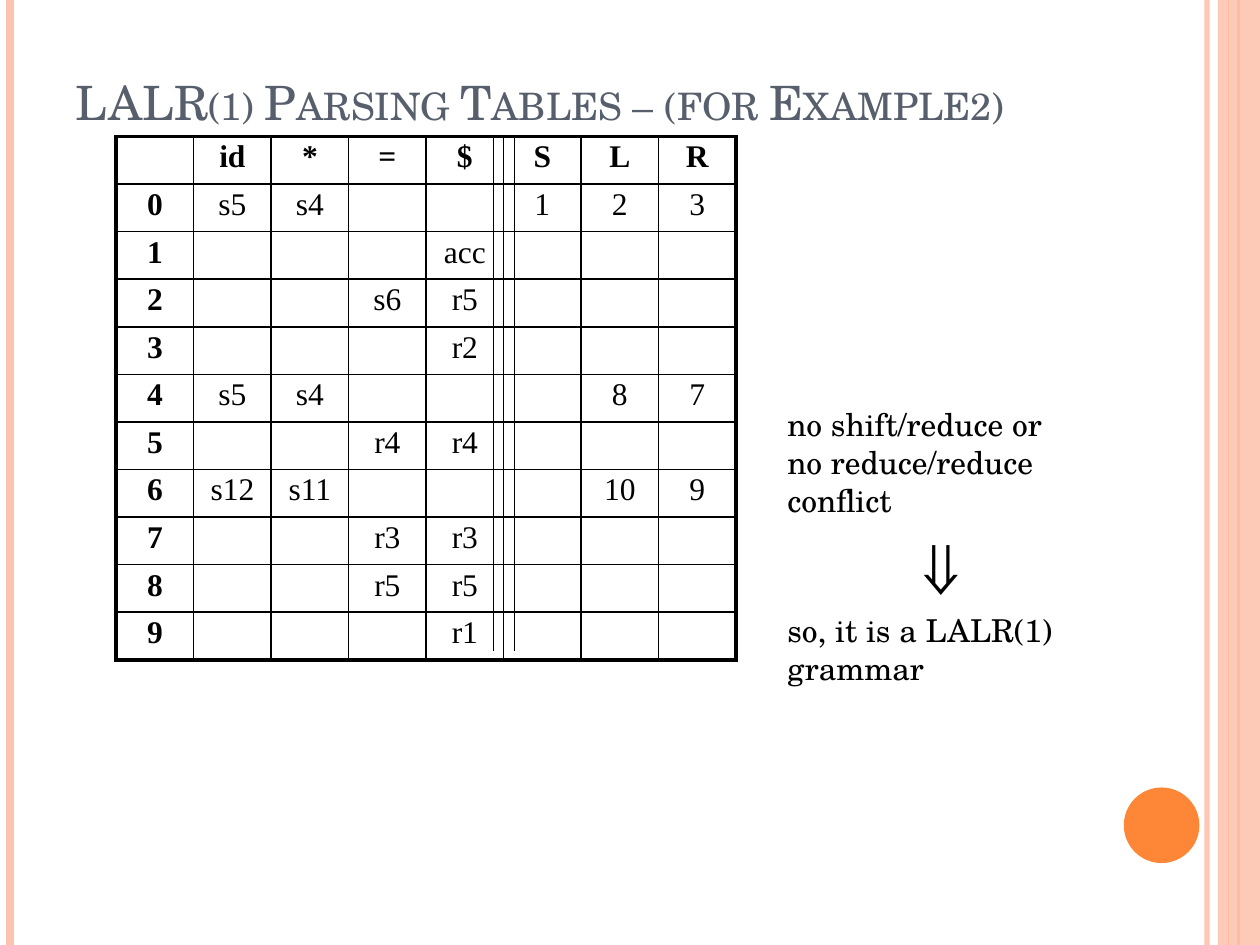
import pptx
import pptx.dml.color
import pptx.enum.shapes
import pptx.enum.text
import pptx.oxml.ns
import pptx.util
from lxml import etree

Pt = pptx.util.Pt
RGB = pptx.dml.color.RGBColor
qn = pptx.oxml.ns.qn
ALIGN = pptx.enum.text.PP_ALIGN
SHAPE = pptx.enum.shapes.MSO_SHAPE

TITLE = "LALR(1) Parsing Tables – (for Example2)"
SYMBOLS = ["", "id", "*", "=", "$", "S", "L", "R"]
STATES = [
    {"id": "s5", "*": "s4", "S": "1", "L": "2", "R": "3"},
    {"$": "acc"},
    {"=": "s6", "$": "r5"},
    {"$": "r2"},
    {"id": "s5", "*": "s4", "L": "8", "R": "7"},
    {"=": "r4", "$": "r4"},
    {"id": "s12", "*": "s11", "L": "10", "R": "9"},
    {"=": "r3", "$": "r3"},
    {"=": "r5", "$": "r5"},
    {"$": "r1"},
]
CONCLUSION = ["no shift/reduce or", "no reduce/reduce conflict", "⇓",
              "so, it is a LALR(1) grammar"]

THEME = {
    "serif": "TeX Gyre Schola", "table": "Times New Roman",
    "ink": "000000", "heading": "575F6D", "peach": "FEC3AE", "orange": "FE8637",
    "title_size": 27, "text_size": 18, "arrow_size": 44,
}
SLIDE_W, SLIDE_H = 720, 540
# x, colour, width, opacity in percent
STRIPES = [(689.8, "peach", 3, 93), (5.8, "peach", 4.5, 100),
           (707.8, "orange", 1.5, 100), (702, "orange", 0.75, 100)]
# shape, box, colour, opacity in percent
ORNAMENTS = [(SHAPE.RECTANGLE, (696, 0, 24, SLIDE_H), "peach", 87),
             (SHAPE.OVAL, (642.2, 450, 43.2, 43.2), "orange", 100)]
TITLE_BOX = (36, 21.6, 588, 56.2)
TABLE_LEFT, TABLE_TOP = 66.4, 78
COL_W, ROW_H = 44.3, 27.2
DIVIDERS = [294, 282]
DIVIDER_BOTTOM = 372
CONCLUSION_BOX = (442.8, 228, 209.5, 126)
EDGE, GRID = 2.25, 1


def colour(name):
    return RGB.from_string(THEME[name])


def points(values):
    return [Pt(v) for v in values]


def set_font(font, **formats):
    for attribute, value in formats.items():
        setattr(font, attribute, value)


def set_opacity(shape, percent):
    for clr in shape._element.spPr.iter(qn("a:srgbClr")):
        etree.SubElement(clr, qn("a:alpha"), val=str(percent * 1000))


def add_vertical(slide, x, top, bottom, ink, width, opacity=100):
    rule = slide.shapes.add_connector(
        pptx.enum.shapes.MSO_CONNECTOR.STRAIGHT, *points((x, top, x, bottom)))
    rule.line.color.rgb = colour(ink)
    rule.line.width = Pt(width)
    if opacity < 100:
        set_opacity(rule, opacity)
    etree.SubElement(rule._element.spPr, qn("a:effectLst"))


def add_ornament(slide, kind, box, ink, opacity):
    ornament = slide.shapes.add_shape(kind, *points(box))
    ornament.shadow.inherit = False
    ornament.fill.solid()
    ornament.fill.fore_color.rgb = colour(ink)
    ornament.line.fill.background()
    if opacity < 100:
        set_opacity(ornament, opacity)


def set_borders(cell, widths):
    for side, width in widths.items():
        border = etree.SubElement(cell._tc.get_or_add_tcPr(), qn("a:ln" + side),
                                  w=str(int(Pt(width))))
        fill = etree.SubElement(border, qn("a:solidFill"))
        etree.SubElement(fill, qn("a:srgbClr"), val=THEME["ink"])


def write_cell(cell, text, bold):
    paragraph = cell.text_frame.paragraphs[0]
    set_font(paragraph, alignment=ALIGN.CENTER, line_spacing=0.9, space_before=Pt(3.6))
    if text:
        run = paragraph.add_run()
        run.text = text
        set_font(run.font, name=THEME["table"], size=Pt(THEME["text_size"]), bold=bold)
        run.font.color.rgb = colour("ink")
    else:
        # An empty cell needs its type size too, or the row would grow.
        end = etree.SubElement(paragraph._p, qn("a:endParaRPr"),
                               sz=str(THEME["text_size"] * 100))
        etree.SubElement(end, qn("a:latin"), typeface=THEME["table"])


def add_parsing_table(slide):
    rows = [SYMBOLS] + [
        [str(number)] + [actions.get(symbol, "") for symbol in SYMBOLS[1:]]
        for number, actions in enumerate(STATES)]
    last_row, last_col = len(rows) - 1, len(SYMBOLS) - 1
    box = (TABLE_LEFT, TABLE_TOP, COL_W * len(SYMBOLS), ROW_H * len(rows))
    table = slide.shapes.add_table(len(rows), len(SYMBOLS), *points(box)).table
    table.first_row = table.horz_banding = False
    for column in table.columns:
        column.width = Pt(COL_W)
    for r, row in enumerate(rows):
        table.rows[r].height = Pt(ROW_H)
        for c, text in enumerate(row):
            cell = table.cell(r, c)
            write_cell(cell, text, bold=r == 0 or c == 0)
            at_edge = {"L": c == 0, "R": c == last_col, "T": r == 0, "B": r == last_row}
            set_borders(cell, {side: EDGE if edge else GRID
                               for side, edge in at_edge.items()})
            cell.fill.background()


def add_title(slide):
    title = slide.shapes.title
    title.left, title.top, title.width, title.height = points(TITLE_BOX)
    frame = title.text_frame
    frame.text = TITLE
    set_font(frame, word_wrap=True, vertical_anchor=pptx.enum.text.MSO_ANCHOR.BOTTOM,
             auto_size=pptx.enum.text.MSO_AUTO_SIZE.NONE)
    heading = frame.paragraphs[0]
    heading.alignment = ALIGN.LEFT
    font = heading.runs[0].font
    set_font(font, name=THEME["serif"], size=Pt(THEME["title_size"]))
    font.color.rgb = colour("heading")
    font._element.set("cap", "small")


def add_conclusion(slide):
    frame = slide.shapes.add_textbox(*points(CONCLUSION_BOX)).text_frame
    frame.word_wrap = True
    for i, text in enumerate(CONCLUSION):
        paragraph = frame.paragraphs[0] if i == 0 else frame.add_paragraph()
        run = paragraph.add_run()
        run.text = text
        is_arrow = text == "⇓"
        if is_arrow:
            paragraph._p.get_or_add_pPr().set("marL", str(int(Pt(72))))
        size = THEME["arrow_size" if is_arrow else "text_size"]
        set_font(run.font, name=THEME["serif"], size=Pt(size))
        run.font.color.rgb = colour("ink")


def main():
    deck = pptx.Presentation()
    deck.slide_width, deck.slide_height = Pt(SLIDE_W), Pt(SLIDE_H)
    slide = deck.slides.add_slide(deck.slide_layouts.get_by_name("Title Only"))
    for x, ink, width, opacity in STRIPES:
        add_vertical(slide, x, 0, SLIDE_H, ink, width, opacity)
    for ornament in ORNAMENTS:
        add_ornament(slide, *ornament)
    add_title(slide)
    add_parsing_table(slide)
    for x in DIVIDERS:
        add_vertical(slide, x, TABLE_TOP, DIVIDER_BOTTOM, "ink", 0.75)
    add_conclusion(slide)
    deck.save("out.pptx")


if __name__ == "__main__":
    main()
